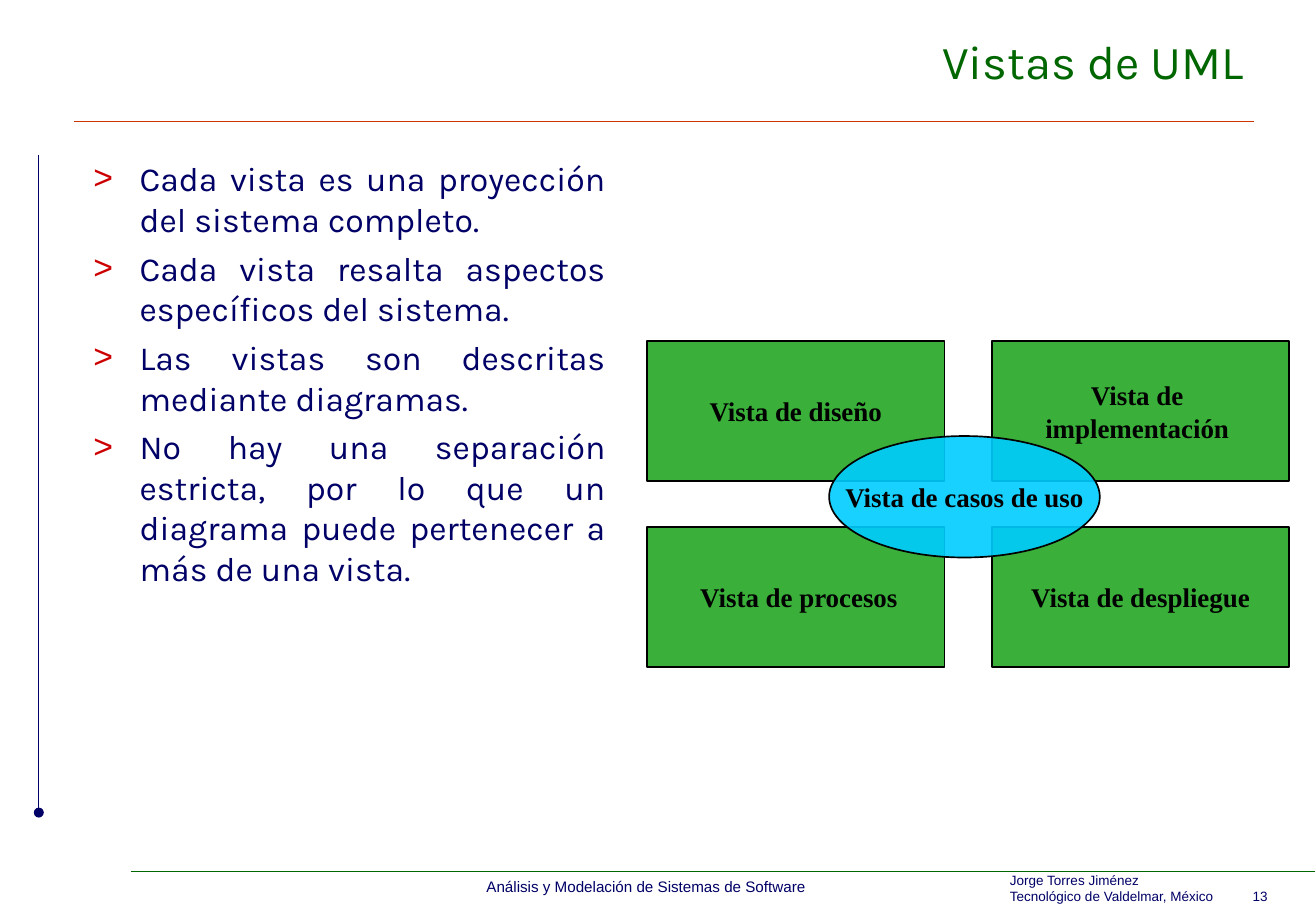
from lxml import etree
from pptx import Presentation
from pptx.dml.color import RGBColor
from pptx.enum.shapes import MSO_CONNECTOR, MSO_SHAPE
from pptx.enum.text import MSO_ANCHOR, MSO_AUTO_SIZE, PP_ALIGN
from pptx.oxml.ns import qn
from pptx.util import Inches, Pt

NAVY = RGBColor(0x00, 0x00, 0x66)
DARK_GREEN = RGBColor(0x00, 0x66, 0x00)
RUST = RGBColor(0xCC, 0x33, 0x00)
GREEN = RGBColor(0x3A, 0xB0, 0x3A)
CYAN = RGBColor(0x00, 0xCC, 0xFF)
BLACK = RGBColor(0x00, 0x00, 0x00)
BULLET_RED = RGBColor(0xCC, 0x00, 0x00)
STRAIGHT = MSO_CONNECTOR.STRAIGHT
RECTANGLE, OVAL = MSO_SHAPE.RECTANGLE, MSO_SHAPE.OVAL
LEFT, CENTER, RIGHT, JUSTIFY = PP_ALIGN.LEFT, PP_ALIGN.CENTER, PP_ALIGN.RIGHT, PP_ALIGN.JUSTIFY
TOP, MIDDLE = MSO_ANCHOR.TOP, MSO_ANCHOR.MIDDLE
NO_AUTOFIT = MSO_AUTO_SIZE.NONE


def write(box, text, font, size, color, align, anchor=TOP, bold=False, wrap=True):
    frame = box.text_frame
    frame.text = text
    frame.word_wrap = wrap
    frame.auto_size = NO_AUTOFIT
    frame.vertical_anchor = anchor
    for para in frame.paragraphs:
        para.alignment = align
        for span in para.runs:
            span.font.name = font
            span.font.size = Pt(size)
            span.font.bold = bold
            span.font.color.rgb = color


def place(box, left, top, width, height):
    box.left, box.top = Inches(left), Inches(top)
    box.width, box.height = Inches(width), Inches(height)


deck = Presentation()
deck.slide_width, deck.slide_height = Inches(10.84), Inches(7.5)
page = deck.slides.add_slide(deck.slide_layouts[1])
shapes = page.shapes

# Rules: under the title, above the footer, down the left margin
for x1, y1, x2, y2, color, width in (
    (0.61, 1, 10.33, 1, RUST, 0.51),
    (1.08, 7.17, 10.83, 7.17, DARK_GREEN, 0.26),
    (0.32, 1.28, 0.32, 6.69, NAVY, 0.74),
):
    rule = shapes.add_connector(STRAIGHT, Inches(x1), Inches(y1), Inches(x2), Inches(y2))
    rule.line.color.rgb = color
    rule.line.width = Pt(width)
    etree.SubElement(rule._element.spPr, qn("a:effectLst"))
margin_line = rule.line._get_or_add_ln()
etree.SubElement(margin_line, qn("a:tailEnd"), type="oval")

# Footer
author = shapes.add_textbox(Inches(8.22), Inches(7.13), Inches(2.56), Inches(0.37))
write(author, "Jorge Torres Jiménez\nTecnológico de Valdelmar, México\t13",
      "Arial", 8, NAVY, LEFT)
course = shapes.add_textbox(Inches(3.91), Inches(7.17), Inches(2.82), Inches(0.25))
write(course, "Análisis y Modelación de Sistemas de Software",
      "Arial", 9, NAVY, CENTER, wrap=False)

# Title
title = shapes.title
place(title, 0.67, 0.08, 9.67, 0.83)
write(title, "Vistas de UML", "Karla", 28, DARK_GREEN, RIGHT, MIDDLE)

# Bulleted list
body = page.placeholders[1]
place(body, 0.67, 1.25, 4.42, 5.75)
points = (
    "Cada vista es una proyección del sistema completo.",
    "Cada vista resalta aspectos específicos del sistema.",
    "Las vistas son descritas mediante diagramas.",
    "No hay una separación estricta, por lo que un diagrama puede pertenecer a más de una vista.",
)
write(body, "\n".join(points), "Karla", 20, NAVY, JUSTIFY)
for para in body.text_frame.paragraphs:
    properties = para._p.get_or_add_pPr()
    properties.set("marL", str(Inches(0.38)))
    properties.set("indent", str(-Inches(0.38)))
    bullet_color = etree.SubElement(properties, qn("a:buClr"))
    etree.SubElement(bullet_color, qn("a:srgbClr"), val=str(BULLET_RED))
    etree.SubElement(properties, qn("a:buChar"), char=">")
    para.space_before = Pt(5)

# Four views in a grid, with the use case view over their centre
views = (
    ("Vista de diseño", "Vista de \nimplementación "),
    (" Vista de procesos", "Vista de despliegue"),
)
diagram = [
    (RECTANGLE, 5.33 + 2.84 * column, 2.81 + 1.53 * row, 2.45, 1.15, GREEN, label)
    for row, labels in enumerate(views)
    for column, label in enumerate(labels)
]
diagram.append((OVAL, 6.83, 3.59, 2.23, 1, CYAN, "Vista de casos de uso"))
for kind, left, top, width, height, color, label in diagram:
    view = shapes.add_shape(kind, Inches(left), Inches(top), Inches(width), Inches(height))
    view.shadow.inherit = False
    view.fill.solid()
    view.fill.fore_color.rgb = color
    view.line.color.rgb = BLACK
    view.line.width = Pt(1)
    write(view, label, "Times New Roman", 16, BLACK, CENTER, MIDDLE, bold=True, wrap=False)
oval_color = view._element.spPr.find(qn("a:solidFill")).find(qn("a:srgbClr"))
etree.SubElement(oval_color, qn("a:alpha"), val="90000")

deck.save("out.pptx")
